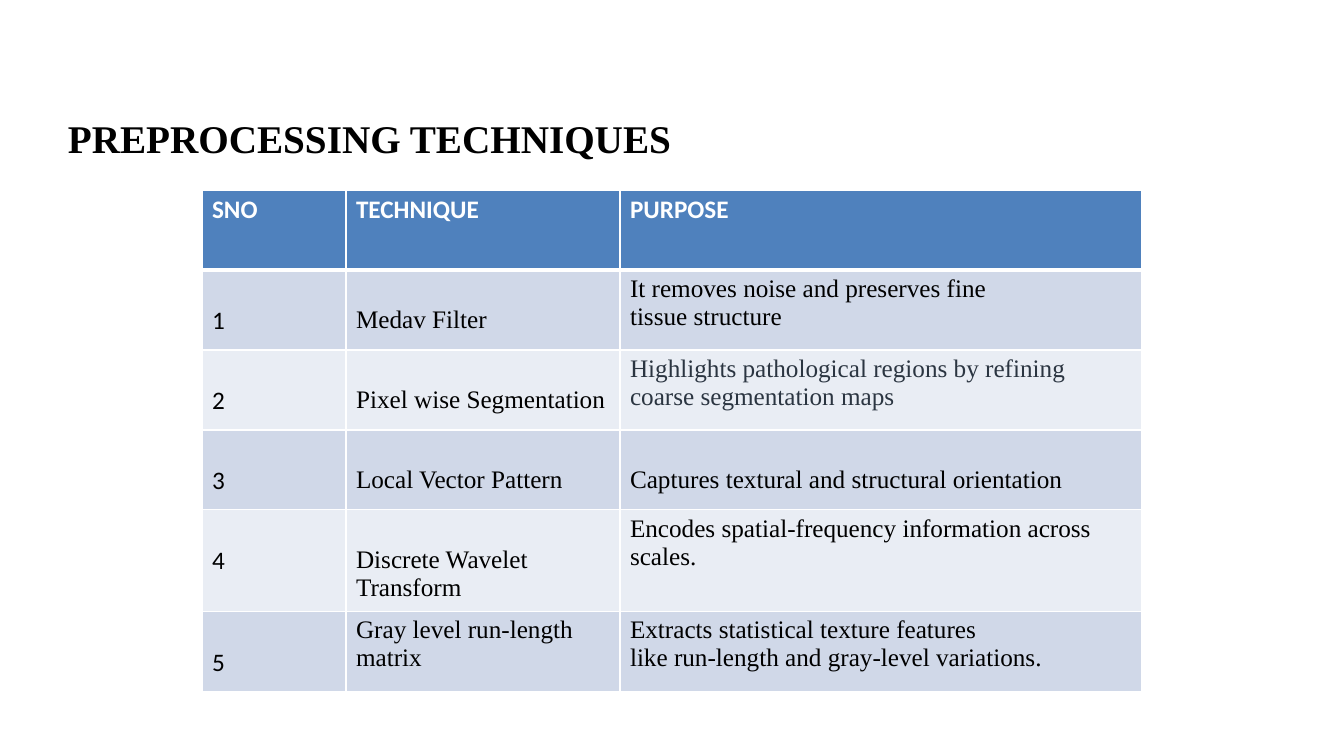
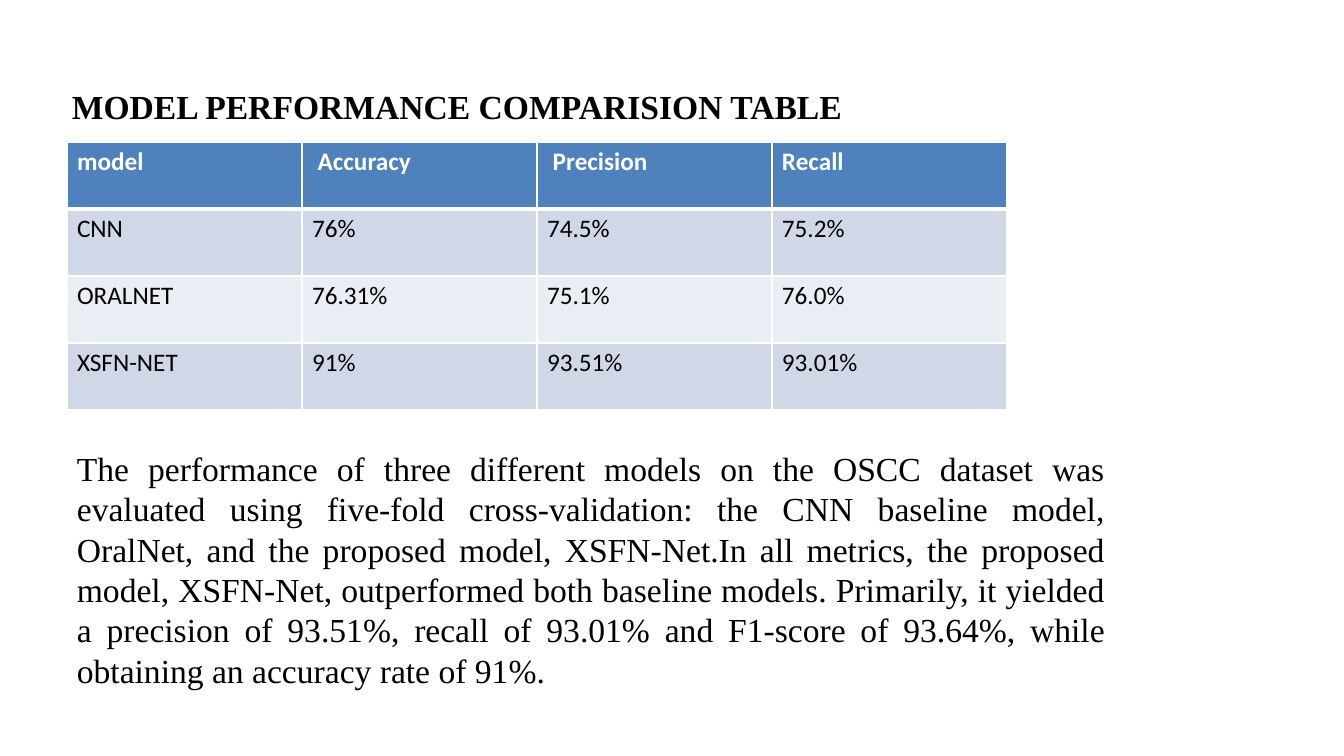
"""Build two slides: preprocessing techniques and model performance comparison."""
import pptx
import pptx.dml.color
import pptx.enum.text
import pptx.util
import pptx.oxml
import pptx.oxml.ns

RGB = pptx.dml.color.RGBColor
BLACK = RGB(0x00, 0x00, 0x00)
WHITE = RGB(0xFF, 0xFF, 0xFF)
HEADER_BLUE = RGB(0x4F, 0x81, 0xBD)
BANDS = RGB(0xD0, 0xD8, 0xE8), RGB(0xE9, 0xED, 0xF4)
SLATE = RGB(0x2B, 0x35, 0x41)
SERIF, SANS = "Times New Roman", "Calibri"
JUSTIFY = pptx.enum.text.PP_ALIGN.JUSTIFY

SLIDE_SIZE = 1344, 756
CELL_TOP = 5
LOWERED_TOP = 36

TECHNIQUES_TITLE = "PREPROCESSING TECHNIQUES"
TECHNIQUES = [
    ("SNO", "TECHNIQUE", "PURPOSE"),
    ("1", "Medav Filter", "It removes noise and preserves fine\ntissue structure"),
    ("2", "Pixel wise Segmentation",
     "Highlights pathological regions by refining coarse segmentation maps"),
    ("3", "Local Vector Pattern", "Captures textural and structural orientation"),
    ("4", "Discrete Wavelet Transform", "Encodes spatial-frequency information across scales."),
    ("5", "Gray level run-length matrix",
     "Extracts statistical texture features\nlike run-length and gray-level variations."),
]
TECHNIQUE_COLUMNS = [144, 274, 522]
TECHNIQUE_ROWS = [80, 80, 80, 80, 101, 80]
LOWERED_COLUMNS = [0, 2, 2, 3, 2, 1]

PERFORMANCE_TITLE = "MODEL PERFORMANCE COMPARISION TABLE"
PERFORMANCE = [
    ("model", " Accuracy", " Precision", "Recall"),
    ("CNN", "76%", "74.5%", "75.2%"),
    ("ORALNET", "76.31%", "75.1%", "76.0%"),
    ("XSFN-NET", "91%", "93.51%", "93.01%"),
]
PERFORMANCE_SUMMARY = (
    "The performance of three different models on the OSCC dataset was evaluated using "
    "five-fold cross-validation: the CNN baseline model, OralNet, and the proposed model, "
    "XSFN-Net.In all metrics, the proposed model, XSFN-Net, outperformed both baseline "
    "models. Primarily, it yielded a precision of 93.51%, recall of 93.01% and F1-score of "
    "93.64%, while obtaining an accuracy rate of 91%."
)


def px(length):
    return pptx.util.Emu(round(length * 914400 / 100.8))


def style_text(frame, size, font_name, color, bold=False):
    for paragraph in frame.paragraphs:
        for run in paragraph.runs:
            run.font.size = pptx.util.Pt(size)
            run.font.name = font_name
            run.font.color.rgb = color
            run.font.bold = bold


def add_text(slide, text, box, size, bold=False, align=None):
    frame = slide.shapes.add_textbox(*map(px, box)).text_frame
    frame.word_wrap = True
    frame.text = text
    frame.paragraphs[0].alignment = align
    style_text(frame, size, SERIF, BLACK, bold)


def set_borders(cell, top, bottom):
    properties = cell._tc.get_or_add_tcPr()
    for index, (side, points) in enumerate((("L", 1), ("R", 1), ("T", top), ("B", bottom))):
        line = pptx.oxml.parse_xml(
            f'<a:ln{side} {pptx.oxml.ns.nsdecls("a")} w="{pptx.util.Pt(points)}">'
            f'<a:solidFill><a:srgbClr val="{WHITE}"/></a:solidFill></a:ln{side}>')
        properties.insert(index, line)


def add_grid(slide, rows, left, top, widths, heights):
    box = left, top, sum(widths), sum(heights)
    table = slide.shapes.add_table(len(rows), len(widths), *map(px, box)).table
    for column, width in zip(table.columns, widths):
        column.width = px(width)
    for r, (values, height) in enumerate(zip(rows, heights)):
        table.rows[r].height = px(height)
        header = r == 0
        for c, value in enumerate(values):
            cell = table.cell(r, c)
            cell.text = value
            cell.margin_top = px(CELL_TOP)
            cell.fill.solid()
            cell.fill.fore_color.rgb = HEADER_BLUE if header else BANDS[(r - 1) % 2]
            set_borders(cell, 3 if r == 1 else 1, 3 if header else 1)
            style_text(cell.text_frame, 18, SANS, WHITE if header else BLACK, header)
    return table


def build_techniques(slide):
    add_text(slide, TECHNIQUES_TITLE, (58, 109, 655, 57), 28, bold=True)
    table = add_grid(slide, TECHNIQUES, 202, 190, TECHNIQUE_COLUMNS, TECHNIQUE_ROWS)
    for r, lowered in enumerate(LOWERED_COLUMNS):
        for c in range(lowered):
            table.cell(r, c).margin_top = px(LOWERED_TOP)
        if r > 0:
            for c in (1, 2):
                color = SLATE if (r, c) == (2, 2) else BLACK
                style_text(table.cell(r, c).text_frame, 18, SERIF, color)


def build_performance(slide):
    add_text(slide, PERFORMANCE_TITLE, (62, 81, 992, 50), 24, bold=True)
    add_grid(slide, PERFORMANCE, 67, 142, [235] * 4, [67] * 4)
    add_text(slide, PERFORMANCE_SUMMARY, (67, 443, 1048, 270), 24, align=JUSTIFY)


def main():
    deck = pptx.Presentation()
    deck.slide_width, deck.slide_height = map(px, SLIDE_SIZE)
    for build in (build_techniques, build_performance):
        build(deck.slides.add_slide(deck.slide_layouts[6]))
    deck.save("out.pptx")


if __name__ == "__main__":
    main()
